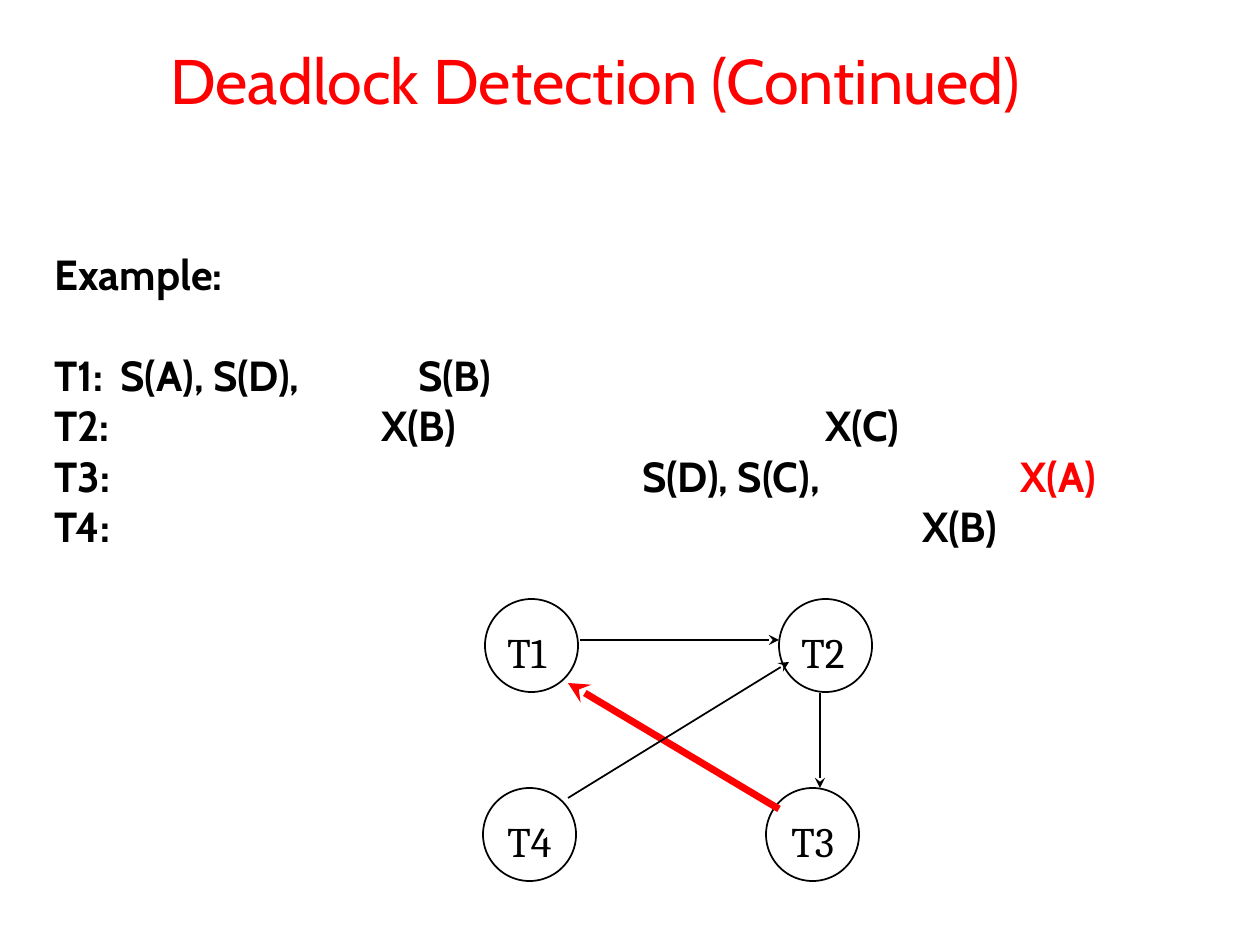
from pptx import Presentation
from pptx.dml.color import RGBColor
from pptx.enum.shapes import MSO_CONNECTOR, MSO_SHAPE
from pptx.enum.text import MSO_ANCHOR, MSO_AUTO_SIZE
from pptx.oxml.ns import qn
from pptx.util import Emu, Pt
from lxml.etree import SubElement

BLACK = RGBColor(0, 0, 0)
RED = RGBColor(255, 0, 0)


def px(count):
    return Emu(round(count * 914400 / 126))


def add_span(para, text, size, font, color=BLACK, bold=False):
    span = para.add_run()
    span.text = text
    span.font.size = Pt(size)
    span.font.name = font
    span.font.color.rgb = color
    span.font.bold = bold


deck = Presentation()
deck.slide_width = px(1260)
deck.slide_height = px(945)
page = deck.slides.add_slide(deck.slide_layouts[6])

title_box = page.shapes.add_textbox(px(158), px(0), px(1071), px(158))
title_box.text_frame.word_wrap = True
title_box.text_frame.vertical_anchor = MSO_ANCHOR.MIDDLE
add_span(title_box.text_frame.paragraphs[0], "Deadlock Detection (Continued)", 36, "Cabin", RED)

schedule_box = page.shapes.add_textbox(px(42), px(242), px(1218), px(315))
schedule_frame = schedule_box.text_frame
schedule_frame.word_wrap = True
heading = schedule_frame.paragraphs[0]
heading.space_after = Pt(29)
add_span(heading, "Example:", 24, "Cabin", bold=True)

schedule = [
    ("T1:", [(66, "S(A), S(D),", BLACK), (364, "S(B)", BLACK)]),
    ("T2:", [(327, "X(B)", BLACK), (771, "X(C)", BLACK)]),
    ("T3:", [(588, "S(D), S(C),", BLACK), (966, "X(A)", RED)]),
    ("T4:", [(868, "X(B)", BLACK)]),
]
for transaction, steps in schedule:
    para = schedule_frame.add_paragraph()
    tab_list = SubElement(para._p.get_or_add_pPr(), qn("a:tabLst"))
    add_span(para, transaction, 24, "Cabin", bold=True)
    for position, locks, color in steps:
        SubElement(tab_list, qn("a:tab"), pos=str(px(position)), algn="l")
        add_span(para, "\t" + locks, 24, "Cabin", color, True)

nodes = [
    ("T1", 485, 599, 495),
    ("T2", 779, 599, 789),
    ("T4", 483, 788, 495),
    ("T3", 766, 788, 779),
]
for name, left, top, label_left in nodes:
    circle = page.shapes.add_shape(MSO_SHAPE.OVAL, px(left), px(top), px(93), px(93))
    circle.shadow.inherit = False
    circle.fill.background()
    circle.line.color.rgb = BLACK
    circle.line.width = Pt(1)
    label_box = page.shapes.add_textbox(px(label_left), px(top + 21), px(72), px(63))
    label_box.text_frame.word_wrap = False
    label_box.text_frame.auto_size = MSO_AUTO_SIZE.SHAPE_TO_FIT_TEXT
    add_span(label_box.text_frame.paragraphs[0], name, 24, "Cambria")

waits = [
    (580, 640, 779, 640, BLACK, 1),
    (820, 693, 820, 788, BLACK, 1),
    (779, 809, 568, 683, RED, 4),
    (568, 798, 789, 662, BLACK, 1),
]
for start_x, start_y, end_x, end_y, color, width in waits:
    arrow = page.shapes.add_connector(
        MSO_CONNECTOR.STRAIGHT, px(start_x), px(start_y), px(end_x), px(end_y)
    )
    arrow.line.color.rgb = color
    arrow.line.width = Pt(width)
    SubElement(arrow.line._get_or_add_ln(), qn("a:tailEnd"), type="stealth")
    SubElement(arrow._element.spPr, qn("a:effectLst"))

deck.save("out.pptx")
